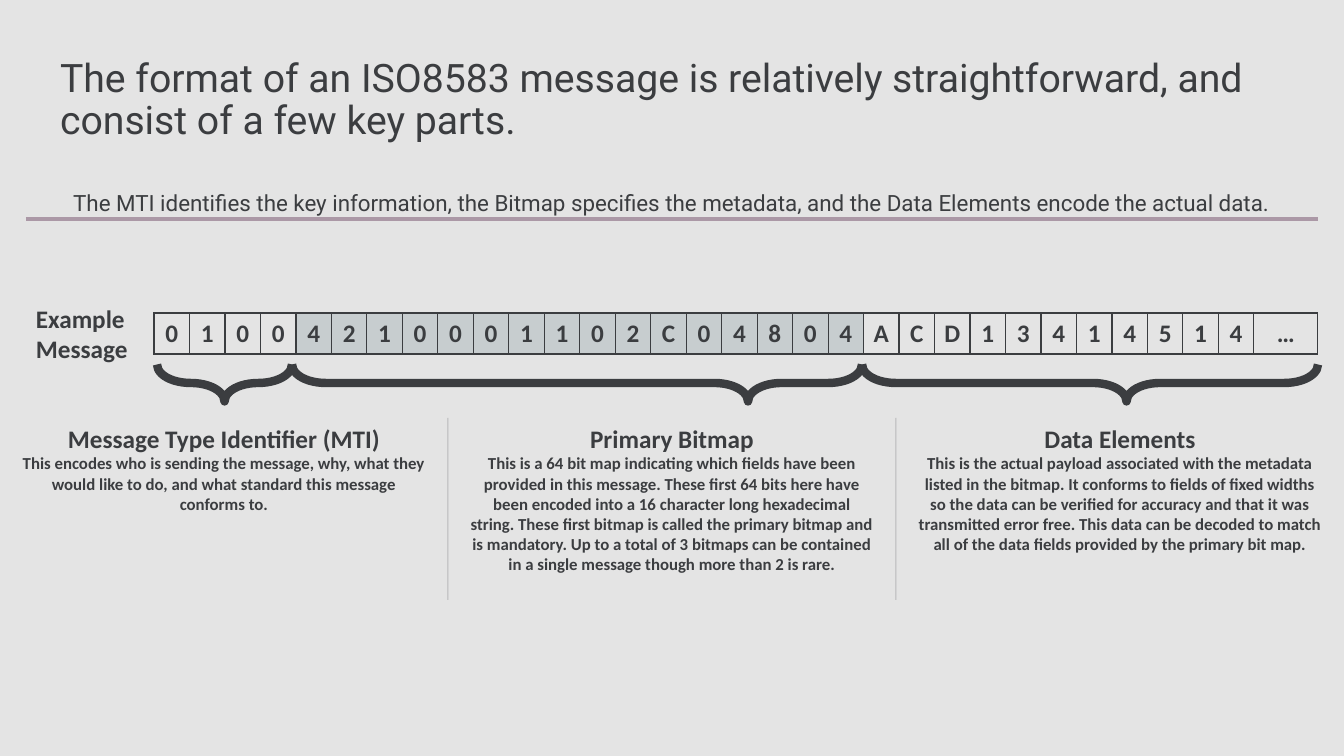
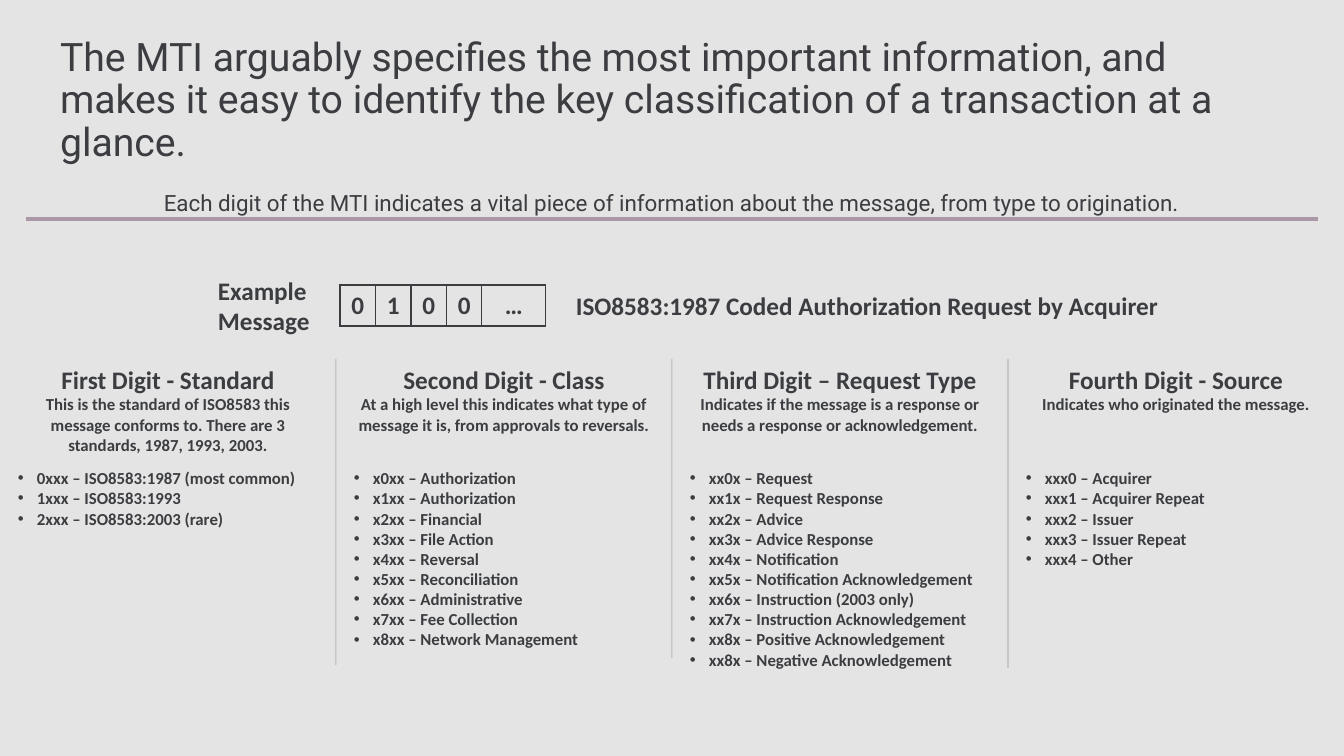
"""Build two slides that explain the parts of an ISO8583 message."""
from dataclasses import dataclass
from itertools import pairwise

from lxml import etree
from pptx import Presentation
from pptx.dml.color import RGBColor
from pptx.enum.shapes import MSO_CONNECTOR, MSO_SHAPE
from pptx.enum.text import MSO_ANCHOR, MSO_AUTO_SIZE, PP_ALIGN
from pptx.oxml import parse_xml
from pptx.oxml.ns import qn
from pptx.util import Pt


@dataclass(frozen=True)
class Theme:
    """Colours, fonts and type sizes."""
    back: str = "E4E4E4"
    ink: str = "3B3D40"
    rule: str = "AB98A6"
    shade: str = "C7CDCF"
    head: str = "Roboto"
    body: str = "Calibri"
    title: int = 28
    lead: int = 16
    label: int = 18
    text: int = 12


theme = Theme()
NS = "http://schemas.openxmlformats.org/drawingml/2006/main"
LEFT, MID = PP_ALIGN.LEFT, PP_ALIGN.CENTER
ink = RGBColor.from_string(theme.ink)
prs = Presentation()
prs.slide_width, prs.slide_height = 12192000, 6858000
SCALE = prs.slide_width / 1344


def px(*nums):
    """Turn px lengths into EMU."""
    return [round(num * SCALE) for num in nums]


def write(frame, lines, align=LEFT, space=1.0, font=theme.body, bold=True, dots=False):
    """Fill a text frame with (text, size) lines."""
    for i, (text, size) in enumerate(lines):
        para = frame.paragraphs[0] if i == 0 else frame.add_paragraph()
        if dots:
            ppr = para._p.get_or_add_pPr()
            ppr.set("marL", str(px(19)[0]))
            ppr.set("indent", str(px(-19)[0]))
            etree.SubElement(ppr, qn("a:buFont"), typeface="Arial")
            etree.SubElement(ppr, qn("a:buChar"), char="•")
        run = para.add_run()
        run.text = text
        run.font.color.rgb = ink
        looks = {
            para: {"alignment": align, "line_spacing": space, "space_before": Pt(0)},
            run.font: {"name": font, "size": Pt(size), "bold": bold},
        }
        for part, look in looks.items():
            for key, val in look.items():
                setattr(part, key, val)


back = prs.slide_master.background.fill
back.solid()
back.fore_color.rgb = RGBColor.from_string(theme.back)

heads = [
    ("The format of an ISO8583 message is relatively straightforward, and consist of a few key parts.",
     "The MTI identifies the key information, the Bitmap specifies the metadata, and the Data Elements encode the actual data."),
    ("The MTI arguably specifies the most important information, and makes it easy to identify the key classification of a transaction at a glance.",
     "Each digit of the MTI indicates a vital piece of information about the message, from type to origination."),
]
parts = [
    ("Message Type Identifier (MTI)", 102,
     "This encodes who is sending the message, why, what they would like to do, and what standard this message conforms to."),
    ("Primary Bitmap", 163,
     "This is a 64 bit map indicating which fields have been provided in this message. These first 64 bits here have been encoded into a 16 character long hexadecimal string. These first bitmap is called the primary bitmap and is mandatory. Up to a total of 3 bitmaps can be contained in a single message though more than 2 is rare."),
    ("Data Elements", 163,
     "This is the actual payload associated with the metadata listed in the bitmap. It conforms to fields of fixed widths so the data can be verified for accuracy and that it was transmitted error free. This data can be decoded to match all of the data fields provided by the primary bit map."),
]
digits = [
    ("First Digit - Standard", 102,
     "This is the standard of ISO8583 this message conforms to. There are 3 standards, 1987, 1993, 2003."),
    ("Second Digit - Class", 82,
     "At a high level this indicates what type of message it is, from approvals to reversals."),
    ("Third Digit – Request Type", 82,
     "Indicates if the message is a response or needs a response or acknowledgement."),
    ("Fourth Digit - Source", 62, "Indicates who originated the message."),
]
codes = [
    ["0xxx – ISO8583:1987 (most common)", "1xxx – ISO8583:1993", "2xxx – ISO8583:2003 (rare)"],
    ["x0xx – Authorization", "x1xx – Authorization", "x2xx – Financial",
     "x3xx – File Action", "x4xx – Reversal", "x5xx – Reconciliation",
     "x6xx – Administrative", "x7xx – Fee Collection", "x8xx – Network Management"],
    ["xx0x – Request", "xx1x – Request Response", "xx2x – Advice",
     "xx3x – Advice Response", "xx4x – Notification",
     "xx5x – Notification Acknowledgement", "xx6x – Instruction (2003 only)",
     "xx7x – Instruction Acknowledgement", "xx8x – Positive Acknowledgement",
     "xx8x – Negative Acknowledgement"],
    ["xxx0 – Acquirer", "xxx1 – Acquirer Repeat", "xxx2 – Issuer",
     "xxx3 – Issuer Repeat", "xxx4 – Other"],
]

pages, texts, rules = [], [], []
for title, lead in heads:
    page = prs.slides.add_slide(prs.slide_layouts[5])
    pages.append(page)
    shape = page.shapes.title
    shape.left, shape.top, shape.width, shape.height = px(50, 28, 1246, 146)
    frame = shape.text_frame
    frame.auto_size = MSO_AUTO_SIZE.NONE
    frame.vertical_anchor = MSO_ANCHOR.MIDDLE
    write(frame, [(title, theme.title)], space=0.9, font=theme.head, bold=False)

    frame = page.shapes.add_textbox(*px(22, 192, 1299, 27)).text_frame
    look = {"word_wrap": True, "vertical_anchor": MSO_ANCHOR.MIDDLE}
    look |= {f"margin_{side}": px(3)[0] for side in ("left", "top", "right", "bottom")}
    for key, val in look.items():
        setattr(frame, key, val)
    write(frame, [(lead, theme.lead)], MID, 0.8, theme.head, False)
    rules.append((page, (26, 219, 1318, 219), theme.rule, 2.25, 100))

first, second = pages
columns = [
    (first, parts, 418, 12, [600, 600]),
    (second, digits, 359, 8, [665, 658, 668]),
]
for page, items, top, gap, ends in columns:
    step = 1344 // len(items)
    for i, (name, high, text) in enumerate(items):
        box = (gap + i * step, top, step - 2 * gap, high)
        texts.append((page, box, [(name, theme.label), (text, theme.text)], MID, False))
    for i, end in enumerate(ends, 1):
        rules.append((page, (i * step, top, i * step, end), theme.ink, 0.75, 26))

for i, items in enumerate(codes):
    box = (8 + i * 336, 463, 320, 10 + 20 * len(items))
    texts.append((second, box, [(item, theme.text) for item in items], LEFT, True))
for page, box, text in [
    (first, (26, 298, 112, 72), "Example Message"),
    (second, (208, 270, 112, 72), "Example Message"),
    (second, (566, 285, 624, 40), "ISO8583:1987 Coded Authorization Request by Acquirer"),
]:
    texts.append((page, box, [(text, theme.label)], LEFT, False))

for page, box, lines, align, dots in texts:
    frame = page.shapes.add_textbox(*px(*box)).text_frame
    frame.word_wrap = True
    frame.auto_size = MSO_AUTO_SIZE.SHAPE_TO_FIT_TEXT
    write(frame, lines, align, dots=dots)

for page, ends, tint, width, alpha in rules:
    line = page.shapes.add_connector(MSO_CONNECTOR.STRAIGHT, *px(*ends))
    line.line.color.rgb = RGBColor.from_string(tint)
    line.line.width = Pt(width)
    if alpha < 100:
        hue = line._element.find(".//" + qn("a:srgbClr"))
        etree.SubElement(hue, qn("a:alpha"), val=str(alpha * 1000))
    etree.SubElement(line._element.spPr, qn("a:effectLst"))

tables = [
    (first, 154, 313, 1164, "01004210001102C04804ACD13414514…"),
    (second, 340, 285, 206, "0100…"),
]
for page, left, top, width, chars in tables:
    count = len(chars)
    table = page.shapes.add_table(1, count, *px(left, top, width, 41)).table
    table.first_row = table.horz_banding = False
    for i, char in enumerate(chars):
        last = i == count - 1
        table.columns[i].width = px(64 if last else (width - 64) / (count - 1))[0]
        cell = table.cell(0, i)
        cell.margin_left = cell.margin_right = 0
        cell.vertical_anchor = MSO_ANCHOR.MIDDLE
        if 4 <= i < 20 and not last:
            cell.fill.solid()
            cell.fill.fore_color.rgb = RGBColor.from_string(theme.shade)
        else:
            cell.fill.background()
        for at, side in enumerate("LRTB"):
            edge = parse_xml(
                f'<a:ln{side} xmlns:a="{NS}" w="12700"><a:solidFill>'
                f'<a:srgbClr val="{theme.ink}"/></a:solidFill></a:ln{side}>')
            cell._tc.get_or_add_tcPr().insert(at, edge)
        write(cell.text_frame, [(char, theme.label)], MID)

for (start, end), tip in zip(pairwise([157, 292, 862, 1318]), [0.5, 0.2, 0.42]):
    span, high = end - start, 37
    box = px((start + end - high) / 2, 383 - span / 2, high, span)
    brace = first.shapes.add_shape(MSO_SHAPE.RIGHT_BRACE, *box)
    brace.rotation = 90
    brace.adjustments[0], brace.adjustments[1] = 0.91, tip
    brace.shadow.inherit = False
    brace.fill.background()
    brace.line.color.rgb = ink
    brace.line.width = Pt(6)

prs.save("out.pptx")
